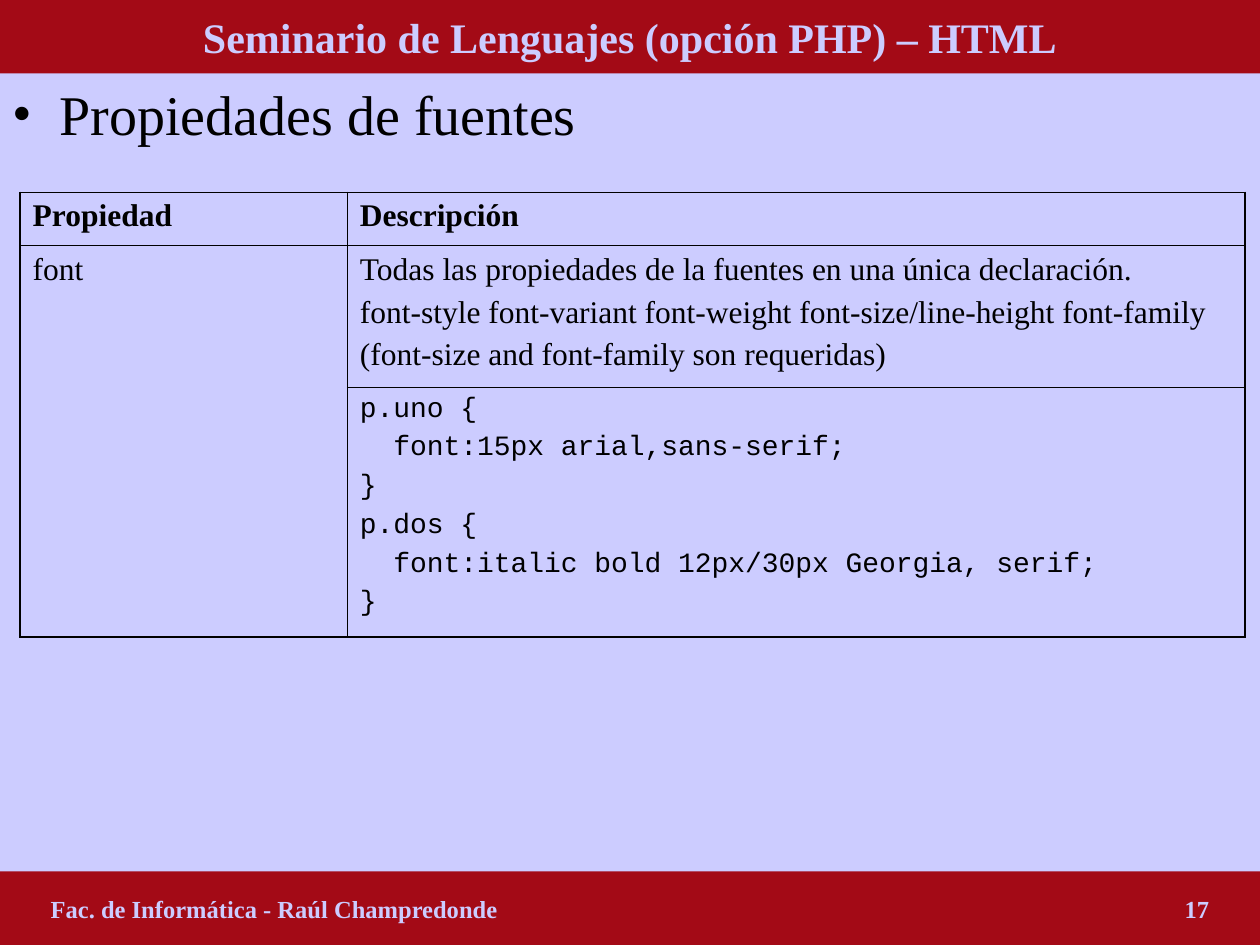
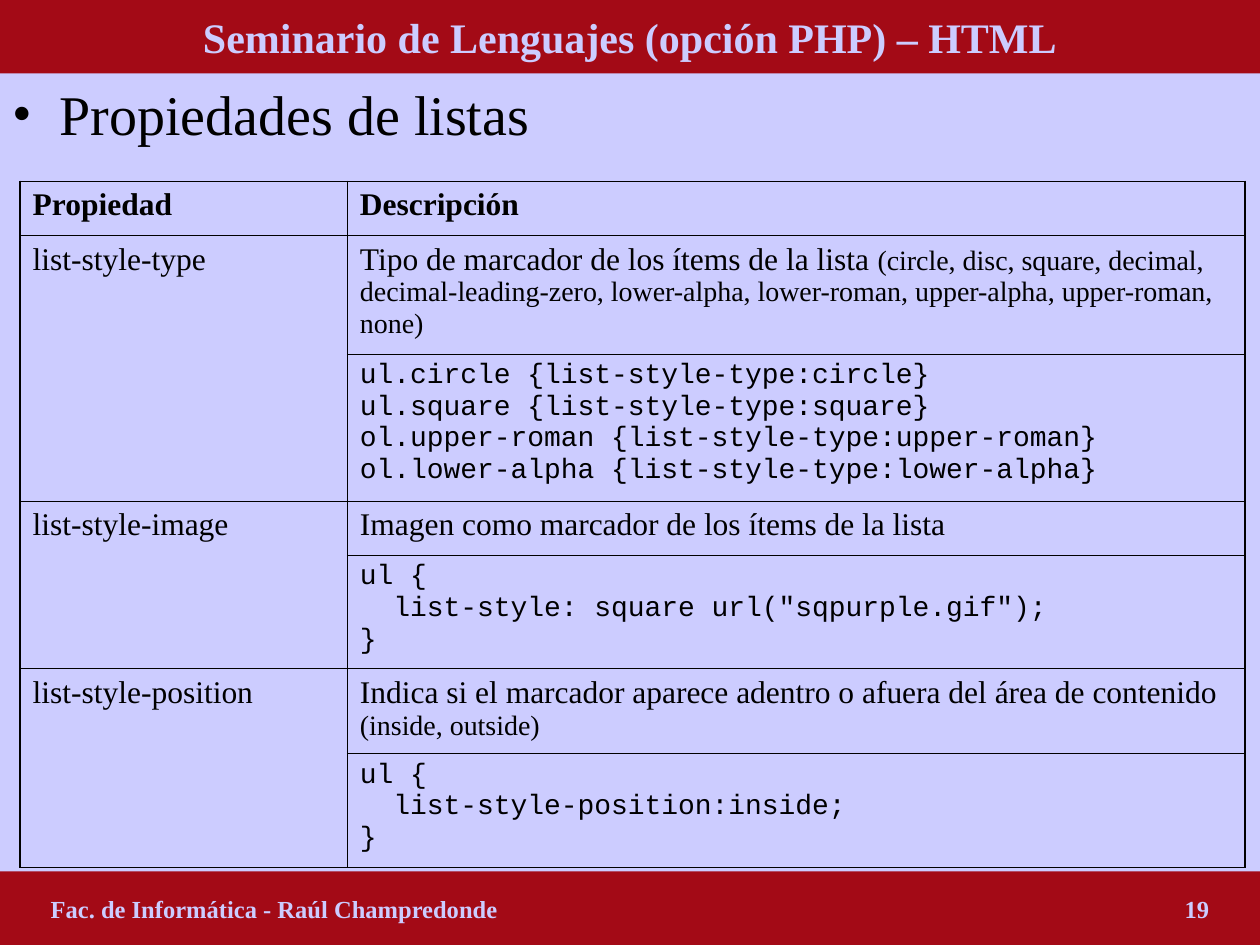
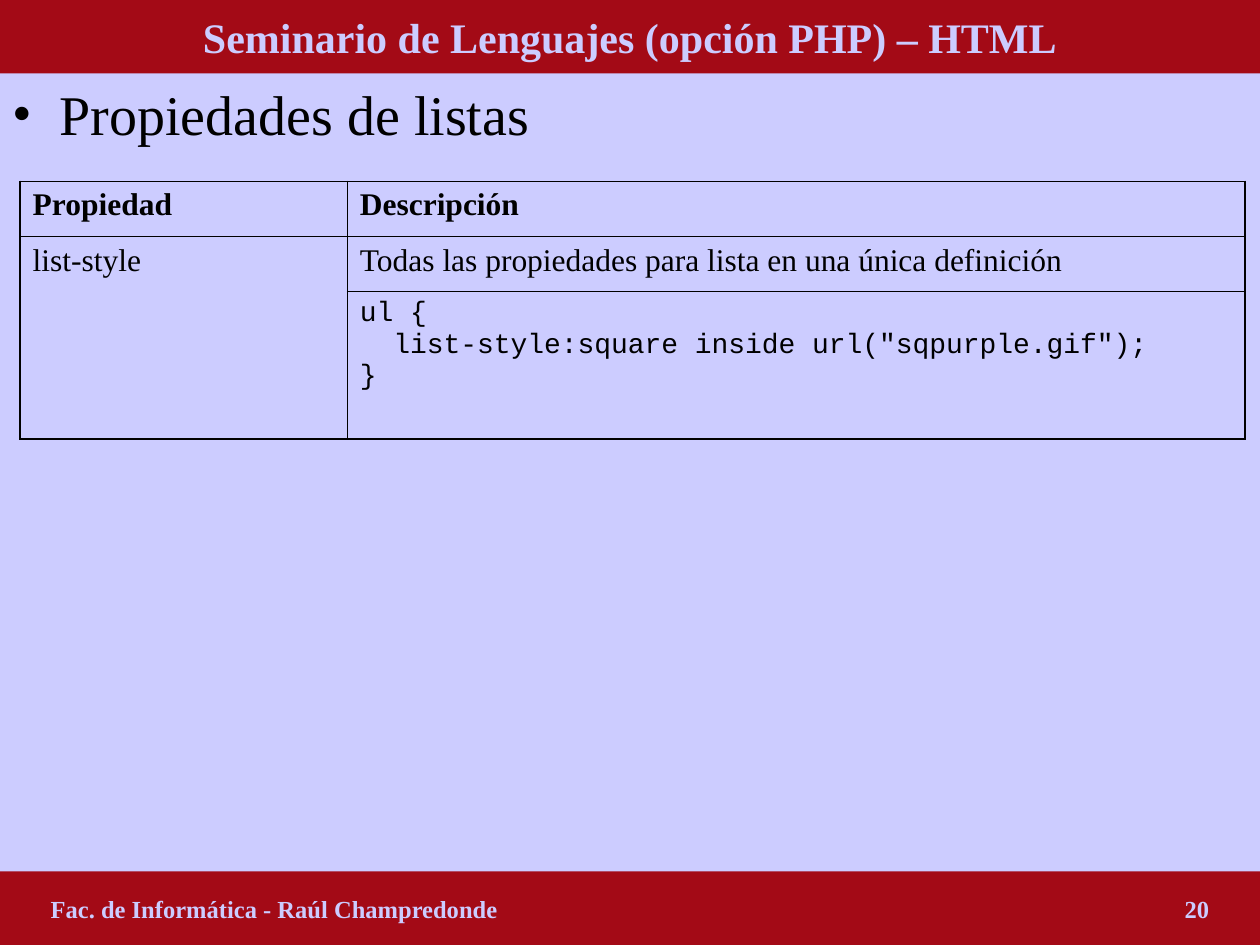
"""Build three course slides on CSS font and list properties."""
from dataclasses import dataclass

from lxml import etree
from pptx import Presentation
from pptx import util as u
from pptx.dml.color import RGBColor
from pptx.enum import shapes, text
from pptx.oxml import ns

Pt = u.Pt

COURSE = "Seminario de Lenguajes (opción PHP) – HTML"
AUTHOR = "Fac. de Informática - Raúl Champredonde"
HEADS = ("Propiedad", "Descripción")

PAGES = [
    {
        "topic": "Propiedades de fuentes", "page": 17, "top": 110,
        "highs": [30.5, 81, 142.5],
        "props": [
            ("font",
             [[("Todas las propiedades de la fuentes en una única declaración.", "body")],
              [("font-style font-variant font-weight font-size/line-height font-family", "body")],
              [("(font-size and font-family son requeridas)", "body")]],
             ["p.uno {", "  font:15px arial,sans-serif;", "}",
              "p.dos {", "  font:italic bold 12px/30px Georgia, serif;", "}"]),
        ],
    },
    {
        "topic": "Propiedades de listas", "page": 19, "top": 103.75,
        "highs": [31, 67.5, 84, 31, 65, 48.5, 65],
        "props": [
            ("list-style-type",
             [[("Tipo de marcador de los ítems de la lista ", "body"),
               ("(circle, disc, square, decimal, decimal-leading-zero, lower-alpha, "
                "lower-roman, upper-alpha, upper-roman, none)", "note")]],
             ["ul.circle {list-style-type:circle}\n"
              "ul.square {list-style-type:square}\n"
              "ol.upper-roman {list-style-type:upper-roman}\n"
              "ol.lower-alpha {list-style-type:lower-alpha}"]),
            ("list-style-image",
             [[("Imagen como marcador de los ítems de la lista", "body")]],
             ['ul {\n  list-style: square url("sqpurple.gif");\n}']),
            ("list-style-position",
             [[("Indica si el marcador aparece adentro o afuera del área de contenido ", "body"),
               ("(inside, outside)", "note")]],
             ["ul {\n  list-style-position:inside;\n}"]),
        ],
    },
    {
        "topic": "Propiedades de listas", "page": 20, "top": 103.75,
        "highs": [31.5, 31.5, 84],
        "props": [
            ("list-style",
             [[("Todas las propiedades para lista en una única definición", "body")]],
             ['ul {\n  list-style:square inside url("sqpurple.gif");\n}']),
        ],
    },
]


@dataclass(frozen=True)
class Style:
    size: float
    color: str
    bold: bool = False
    font: str = "Times New Roman"


class Theme:
    ink, paper, band = "000000", "CCCCFF", "A30A16"
    thick, thin = 1.08, 0.45
    styles = {
        "title": Style(24, paper, True),
        "foot": Style(14, paper, True),
        "topic": Style(32, ink),
        "head": Style(18, ink, True),
        "body": Style(18, ink),
        "note": Style(16, ink),
        "code": Style(16, ink, font="Courier New"),
    }


WIDE, HIGH, BAND = 720, 540, 42
LEFT, COLS = 11.5, (187, 513)
HANG, STOP = 27, 648
PLAIN = "{2D5ABB26-0587-4C30-8999-92F81FD0307C}"


def node(host, tag, **attrs):
    item = etree.SubElement(host, ns.qn(tag))
    for key, val in attrs.items():
        item.set(key, str(val))
    return item


def write(para, runs):
    for words, name in runs:
        style = Theme.styles[name]
        for i, line in enumerate(words.split("\n")):
            if i:
                para.add_line_break()
            run = para.add_run()
            run.text = line
            font = run.font
            font.name, font.size, font.bold = style.font, Pt(style.size), style.bold
            font.color.rgb = RGBColor.from_string(style.color)


def fill(frame, paras):
    for i, runs in enumerate(paras):
        para = frame.add_paragraph() if i else frame.paragraphs[0]
        if i:
            para.space_before = Pt(Theme.styles[runs[0][1]].size / 4)
        write(para, runs)


def add_topic(slide, words):
    box = slide.shapes.add_textbox(0, Pt(BAND), Pt(WIDE), Pt(HIGH - 2 * BAND))
    box.text_frame.word_wrap = True
    para = box.text_frame.paragraphs[0]
    props = para._p.get_or_add_pPr()
    props.set("marL", str(Pt(HANG)))
    props.set("indent", str(-Pt(HANG)))
    node(node(props, "a:buClr"), "a:srgbClr", val=Theme.ink)
    node(props, "a:buFont", typeface=Theme.styles["topic"].font)
    node(props, "a:buChar", char="•")
    write(para, [(words, "topic")])


def add_band(slide, top, words, name):
    bar = slide.shapes.add_shape(
        shapes.MSO_SHAPE.RECTANGLE, 0, Pt(top), Pt(WIDE), Pt(BAND))
    bar.shadow.inherit = False
    bar.fill.solid()
    bar.fill.fore_color.rgb = RGBColor.from_string(Theme.band)
    bar.line.fill.background()
    frame = bar.text_frame
    frame.word_wrap = True
    frame.vertical_anchor = text.MSO_ANCHOR.MIDDLE
    para = frame.paragraphs[0]
    para.alignment = text.PP_ALIGN.CENTER
    tabs = node(para._p.get_or_add_pPr(), "a:tabLst")
    node(tabs, "a:tab", pos=Pt(STOP), algn="l")
    write(para, [(words, name)])


def edge(cell, outer):
    props = cell._tc.get_or_add_tcPr()
    for side in "LRTB":
        width = Theme.thick if side in outer else Theme.thin
        line = node(props, "a:ln" + side, w=Pt(width))
        node(node(line, "a:solidFill"), "a:srgbClr", val=Theme.ink)
    cell.fill.background()


def add_grid(slide, data):
    highs = data["highs"]
    last = len(highs) - 1
    grid = slide.shapes.add_table(
        len(highs), len(COLS), Pt(LEFT), Pt(data["top"]),
        Pt(sum(COLS)), Pt(sum(highs))).table
    grid.first_row = grid.horz_banding = False
    grid._tbl.tblPr[0].text = PLAIN
    for col, width in zip(grid.columns, COLS):
        col.width = Pt(width)
    for row, high in zip(grid.rows, highs):
        row.height = Pt(high)
    for c, words in enumerate(HEADS):
        fill(grid.cell(0, c).text_frame, [[(words, "head")]])
    for i, (prop, about, code) in enumerate(data["props"]):
        r = 2 * i + 1
        grid.cell(r, 0).merge(grid.cell(r + 1, 0))
        fill(grid.cell(r, 0).text_frame, [[(prop, "body")]])
        fill(grid.cell(r, 1).text_frame, about)
        fill(grid.cell(r + 1, 1).text_frame, [[(line, "code")] for line in code])
    for r in range(last + 1):
        for c, side in enumerate("LR"):
            cell = grid.cell(r, c)
            end = r + cell.span_height - 1 if cell.is_merge_origin else r
            edge(cell, side + "T" * (r == 0) + "B" * (end == last))


def main():
    deck = Presentation()
    deck.slide_width, deck.slide_height = Pt(WIDE), Pt(HIGH)
    for data in PAGES:
        slide = deck.slides.add_slide(deck.slide_layouts[6])
        back = slide.background.fill
        back.solid()
        back.fore_color.rgb = RGBColor.from_string(Theme.paper)
        add_topic(slide, data["topic"])
        add_band(slide, 0, COURSE, "title")
        add_band(slide, HIGH - BAND, f"{AUTHOR}\t{data['page']}", "foot")
        add_grid(slide, data)
    deck.save("out.pptx")


if __name__ == "__main__":
    main()
